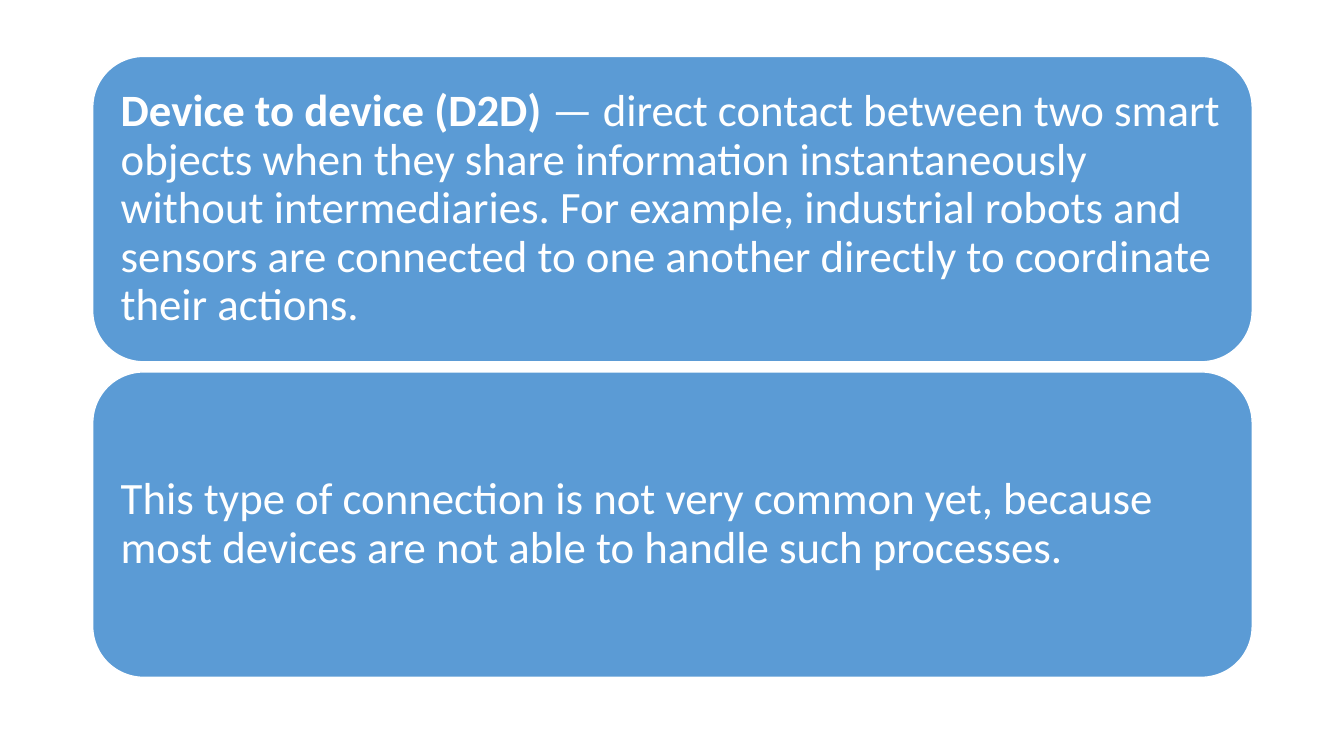
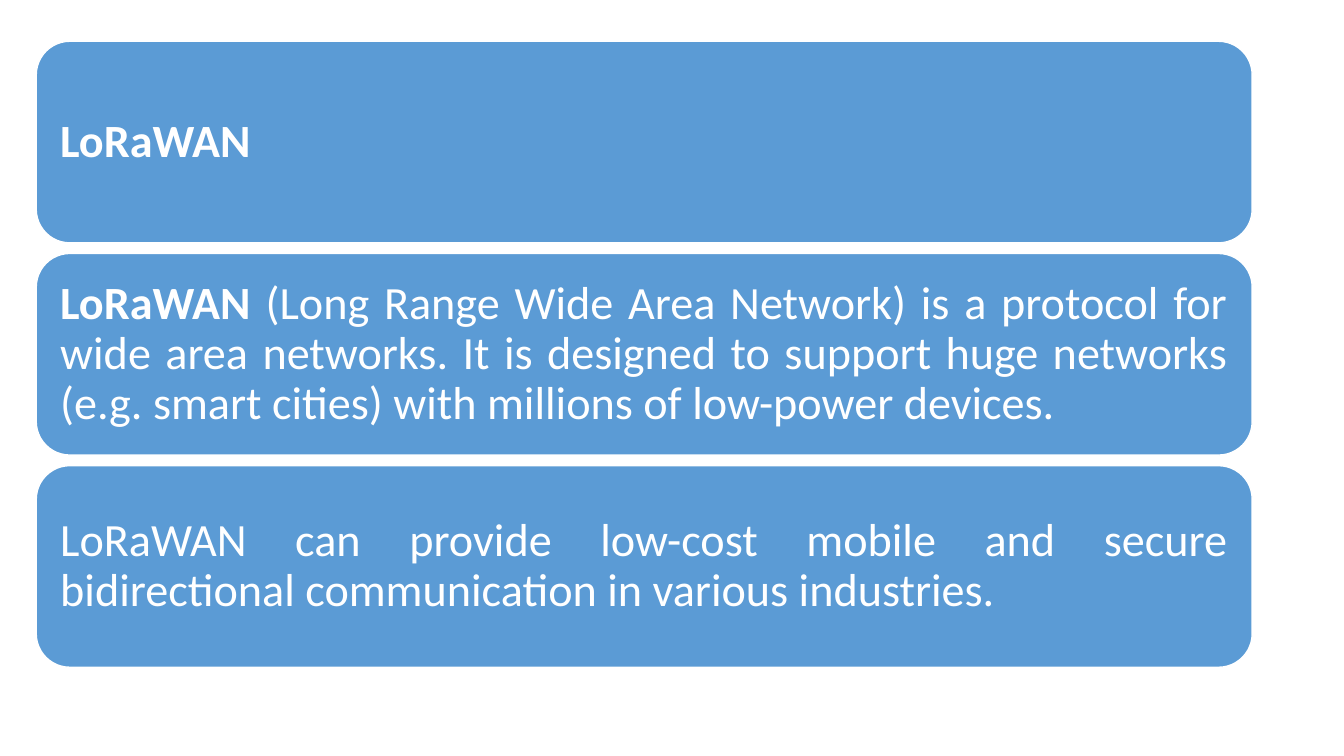
import pptx
import pptx.util
import pptx.dml.color
import pptx.enum.shapes
import pptx.enum.text

PX = 9144
HUES = {"bar": "5B9BD5", "text": "FFFFFF"}
FONT = "Calibri"
LEFT = pptx.enum.text.PP_ALIGN.LEFT
FULL = pptx.enum.text.PP_ALIGN.JUSTIFY

SLIDES = [
    {
        "area": (92, 56, 1150, 616), "tall": 303, "inset": 13, "size": 32,
        "bars": [
            (LEFT, [
                ("Device to device (D2D)", True),
                (" — direct contact between two smart objects when they share "
                 "information instantaneously without intermediaries. For example, "
                 "industrial robots and sensors are connected to one another "
                 "directly to coordinate their actions.", False),
            ]),
            (LEFT, [
                ("This type of connection is not very common yet, because most "
                 "devices are not able to handle such processes.", False),
            ]),
        ],
    },
    {
        "area": (36, 41, 1206, 621), "tall": 200, "inset": 14, "size": 33,
        "bars": [
            (LEFT, [("LoRaWAN", True)]),
            (FULL, [
                ("LoRaWAN", True),
                (" (Long Range Wide Area Network) is a protocol for wide area "
                 "networks. It is designed to support huge networks (e.g. smart "
                 "cities) with millions of low-power devices.", False),
            ]),
            (FULL, [
                ("LoRaWAN can provide low-cost mobile and secure bidirectional "
                 "communication in various industries.", False),
            ]),
        ],
    },
]


def px(num):
    return pptx.util.Emu(round(num * PX))


def hue(name):
    return pptx.dml.color.RGBColor.from_string(HUES[name])


def add_bar(slide, box, inset, size, align, runs):
    kind = pptx.enum.shapes.MSO_SHAPE.ROUNDED_RECTANGLE
    bar = slide.shapes.add_shape(kind, *map(px, box))
    bar.shadow.inherit = False
    bar.fill.solid()
    bar.fill.fore_color.rgb = hue("bar")
    bar.line.color.rgb = hue("text")
    bar.line.width = pptx.util.Pt(1)
    frame = bar.text_frame
    frame.word_wrap = True
    frame.vertical_anchor = pptx.enum.text.MSO_ANCHOR.MIDDLE
    frame.margin_left = frame.margin_right = px(inset)
    frame.margin_top = frame.margin_bottom = px(inset)
    para = frame.paragraphs[0]
    para.alignment = align
    para.line_spacing = 0.9
    for text, bold in runs:
        run = para.add_run()
        run.text = text
        run.font.name = FONT
        run.font.size = pptx.util.Pt(size)
        run.font.bold = bold
        run.font.color.rgb = hue("text")


def add_stack(slide, data):
    left, top, width, height = data["area"]
    tall, bars = data["tall"], data["bars"]
    step = (height - tall) / (len(bars) - 1)
    for row, (align, runs) in enumerate(bars):
        box = (left, top + row * step, width, tall)
        add_bar(slide, box, data["inset"], data["size"], align, runs)


def main():
    deck = pptx.Presentation()
    deck.slide_width, deck.slide_height = px(1333), px(750)
    for data in SLIDES:
        add_stack(deck.slides.add_slide(deck.slide_layouts[6]), data)
    deck.save("out.pptx")


if __name__ == "__main__":
    main()
